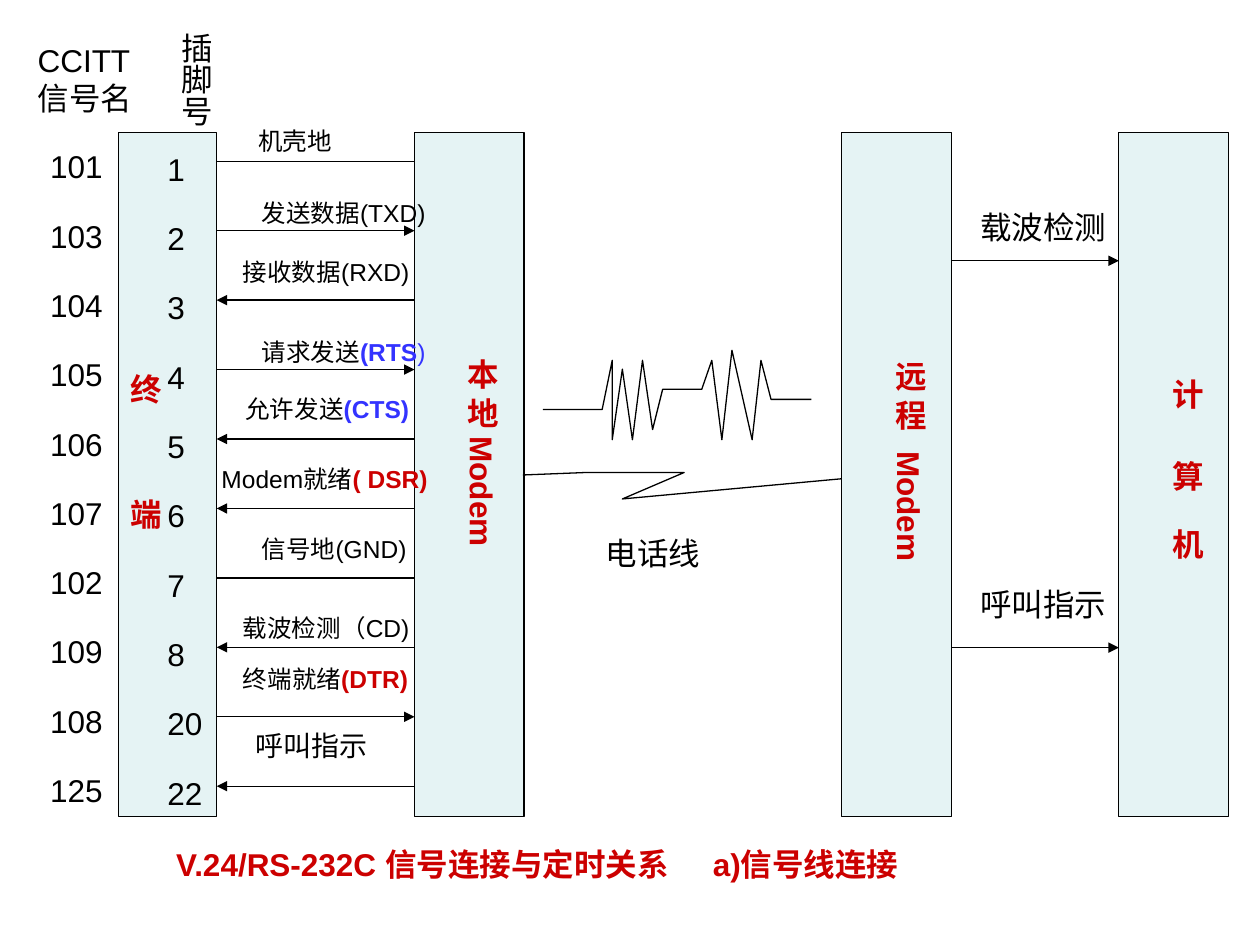
from lxml.etree import SubElement
from pptx import Presentation
from pptx.dml.color import RGBColor
from pptx.enum.shapes import MSO_CONNECTOR, MSO_SHAPE
from pptx.enum.text import MSO_AUTO_SIZE
from pptx.oxml.ns import qn
from pptx.util import Inches, Pt

BLACK = RGBColor(0x00, 0x00, 0x00)
RED = RGBColor(0xCC, 0x00, 0x00)
BLUE = RGBColor(0x33, 0x33, 0xFF)
PALE_TEAL = RGBColor(0xBB, 0xE0, 0xE3)

# Columns: left edge and width of the four devices
TERMINAL, LOCAL_MODEM, REMOTE_MODEM, COMPUTER = (
    (0.94, 0.78), (3.29, 0.87), (6.68, 0.87), (8.88, 0.87))
DEVICE_TOP, DEVICE_HEIGHT = 1.05, 5.43
# Rows: one for each signal line
FIRST_ROW, LAST_ROW, ROW_COUNT = 1.28, 6.24, 10
ROW_HEIGHT = (LAST_ROW - FIRST_ROW) / (ROW_COUNT - 1)

presentation = Presentation()
presentation.slide_width, presentation.slide_height = Inches(10), Inches(7.5)
slide = presentation.slides.add_slide(presentation.slide_layouts[6])


def add_text(text, left, top, width, height, size=18, colour=BLACK, bold=False,
             vertical=False, space_before=0, tabs=(), extra_runs=()):
    """Add a text box; each line is a paragraph, extra runs end the last one."""
    box = slide.shapes.add_textbox(Inches(left), Inches(top), Inches(width), Inches(height))
    frame = box.text_frame
    frame.word_wrap = True
    frame.auto_size = MSO_AUTO_SIZE.NONE
    across, along = (0.05, 0.1) if vertical else (0.1, 0.05)
    frame.margin_left = frame.margin_right = Inches(across)
    frame.margin_top = frame.margin_bottom = Inches(along)
    if vertical:
        frame._txBody.bodyPr.set("vert", "eaVert")
    lines = text.split("\n")
    for number, line in enumerate(lines):
        paragraph = frame.add_paragraph() if number else frame.paragraphs[0]
        if tabs:
            tab_list = SubElement(paragraph._p.get_or_add_pPr(), qn("a:tabLst"))
            for position in tabs:
                SubElement(tab_list, qn("a:tab"), pos=str(Inches(position)), algn="l")
        if number and space_before:
            paragraph.space_before = Pt(space_before)
        runs = [(line, colour, bold)]
        if number == len(lines) - 1:
            runs += extra_runs
        for run_text, run_colour, run_bold in runs:
            run = paragraph.add_run()
            run.text = run_text
            run.font.name = "Arial"
            run.font.size = Pt(size)
            run.font.bold = run_bold
            run.font.color.rgb = run_colour


def add_signal_line(left, right, y, arrow_end=None):
    connector = slide.shapes.add_connector(
        MSO_CONNECTOR.STRAIGHT, Inches(left), Inches(y), Inches(right), Inches(y))
    connector.line.color.rgb = BLACK
    connector.line.width = Pt(0.75)
    properties = connector._element.spPr
    if arrow_end:
        SubElement(properties.find(qn("a:ln")), qn(f"a:{arrow_end}"), type="triangle")
    SubElement(properties, qn("a:effectLst"))


# Devices
for left, width in (TERMINAL, LOCAL_MODEM, REMOTE_MODEM, COMPUTER):
    device = slide.shapes.add_shape(
        MSO_SHAPE.RECTANGLE, Inches(left), Inches(DEVICE_TOP), Inches(width), Inches(DEVICE_HEIGHT))
    device.shadow.inherit = False
    device.fill.solid()
    device.fill.fore_color.rgb = PALE_TEAL
    colour_element = device._element.spPr.find(qn("a:solidFill"))[0]
    SubElement(colour_element, qn("a:alpha"), val="37000")
    device.line.color.rgb = BLACK
    device.line.width = Pt(0.75)

for name, left, top, height, tabs in (
        ("终\t端", 0.85, 2.87, 1.79, (0.99,)),
        ("本 地 Modem", 3.53, 2.75, 1.8, ()),
        ("远 程\tModem", 6.92, 2.76, 1.85, (0.72,)),
        ("计\t算\t机", 9.12, 2.91, 1.7, (0.65, 1.19))):
    add_text(name, left, top, 0.5, height, colour=RED, bold=True, vertical=True, tabs=tabs)

# Signal numbers and pin numbers
add_text("CCITT\n信号名", 0.2, 0.28, 1.05, 0.7)
add_text("插脚号", 1.26, 0.16, 0.5, 1, vertical=True)
add_text("\n".join("101 103 104 105 106 107 102 109 108 125".split()),
         0.3, 1.12, 0.7, 5.35, space_before=18)
add_text("\n".join("1 2 3 4 5 6 7 8 20 22".split()),
         1.23, 1.14, 0.56, 5.35, space_before=18)

# Lines between terminal and local modem: label, left, width, rise above the line,
# size, arrowhead, coloured runs
TO_MODEM, TO_TERMINAL = "tailEnd", "headEnd"
signals = (
    ("机壳地", 1.95, 0.88, 0.33, 14, None, ()),
    ("发送数据(TXD)", 1.98, 1.64, 0.31, 14, TO_MODEM, ()),
    ("接收数据(RXD)", 1.83, 1.7, 0.39, 14, TO_TERMINAL, ()),
    ("请求发送", 1.98, 1.64, 0.31, 14, TO_MODEM, [("(RTS", BLUE, True), (")", BLUE, False)]),
    ("允许发送", 1.85, 1.64, 0.41, 14, TO_TERMINAL, [("(CTS)", BLUE, True)]),
    ("Modem就绪", 1.66, 2.03, 0.4, 14, TO_TERMINAL, [("( DSR)", RED, True)]),
    ("信号地(GND)", 1.98, 1.55, 0.4, 14, None, ()),
    ("载波检测（CD)", 1.83, 1.67, 0.32, 14, TO_TERMINAL, ()),
    ("终端就绪", 1.83, 1.65, 0.47, 14, TO_MODEM, [("(DTR)", RED, True)]),
    ("呼叫指示", 1.93, 1.18, 0.51, 16, TO_TERMINAL, ()),
)
for row, (label, left, width, rise, size, arrow_end, coloured_runs) in enumerate(signals):
    y = FIRST_ROW + row * ROW_HEIGHT
    add_signal_line(sum(TERMINAL), LOCAL_MODEM[0], y, arrow_end)
    add_text(label, left, y - rise, width, 0.34, size=size, extra_runs=coloured_runs)

# Lines between remote modem and computer
for label, y, rise in (("载波检测", 2.07, 0.47), ("呼叫指示", 5.14, 0.55)):
    add_signal_line(sum(REMOTE_MODEM), COMPUTER[0], y, "tailEnd")
    add_text(label, 7.68, y - rise, 1.3, 0.4)

# Telephone line and the carrier wave above it, in hundredths of an inch
telephone_line = ((415, 377), (465, 375), (543, 375), (494, 396), (668, 380))
carrier_wave = (
    (431, 325), (478, 325), (486, 286), (486, 349), (494, 293), (502, 349),
    (510, 286), (518, 341), (526, 309), (557, 309), (565, 286), (573, 349),
    (581, 278), (597, 349), (604, 286), (612, 317), (644, 317))
for points in (telephone_line, carrier_wave):
    builder = slide.shapes.build_freeform(*points[0], scale=Inches(0.01))
    builder.add_line_segments(points[1:], close=False)
    outline = builder.convert_to_shape()
    outline.shadow.inherit = False
    outline.fill.background()
    outline.line.color.rgb = BLACK
    outline.line.width = Pt(0.75)
add_text("电话线", 4.71, 4.19, 1.05, 0.4)

# Caption
add_text("V.24/RS-232C 信号连接与定时关系\ta)信号线连接", 1.3, 6.66, 6.3, 0.4,
         colour=RED, bold=True, tabs=(4.26,))

presentation.save("out.pptx")
